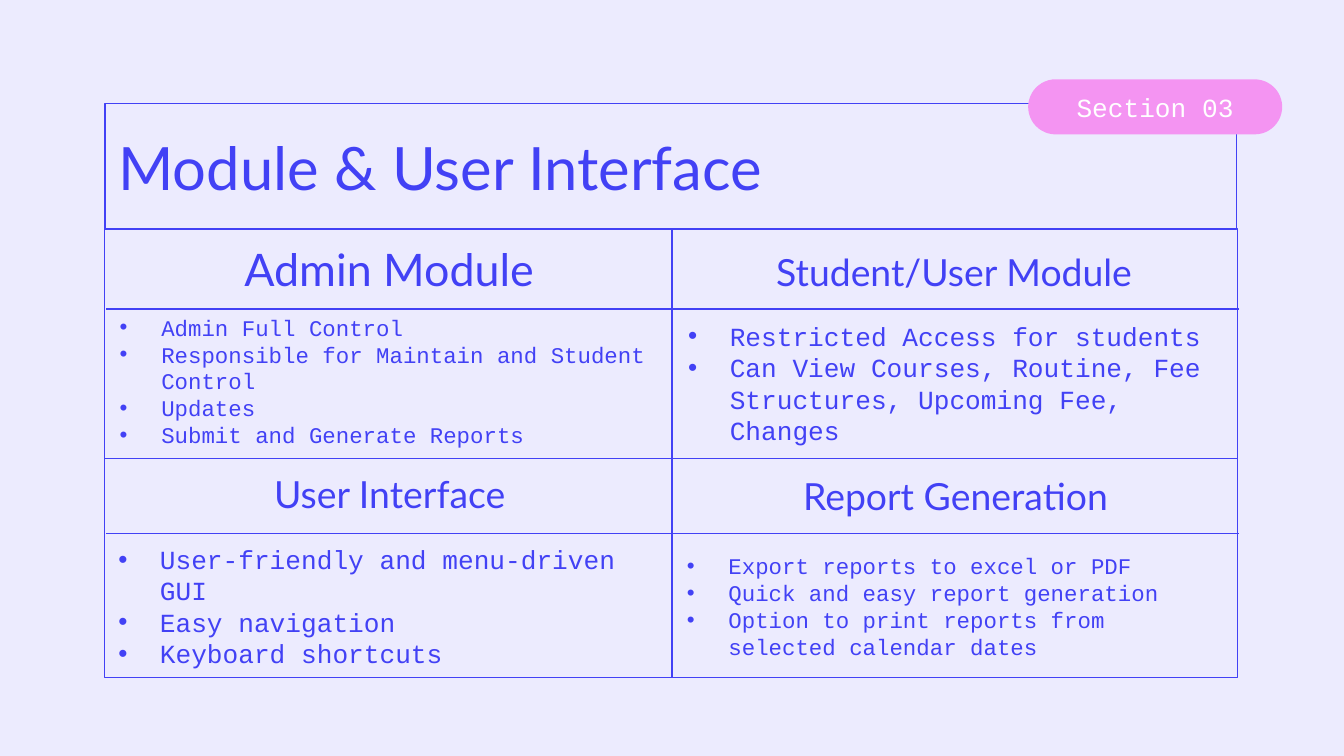
import pptx
import pptx.util
import pptx.dml.color
import pptx.enum.shapes
import pptx.enum.text
import pptx.oxml
import pptx.oxml.ns

Inches = pptx.util.Inches
Pt = pptx.util.Pt
Align = pptx.enum.text.PP_ALIGN
Kind = pptx.enum.shapes.MSO_SHAPE

BLUE = "4241F5"
PINK = "F494F2"
WHITE = "FFFFFF"
PALE = "ECEBFE"
SANS = "Lato"
MONO = "Courier New"

HEADS = [
    ("Admin Module", 24, (0.79, 1.7, 4.21, 0.6)),
    ("Student/User Module", 20, (5, 1.74, 4.2, 0.56)),
    ("User Interface", 20, (0.8, 3.37, 4.2, 0.6)),
    ("Report Generation", 20, (5.02, 3.4, 4.18, 0.57)),
]
LISTS = [
    (12, (0.79, 2.3, 4.22, 1.07), [
        "Admin Full Control",
        "Responsible for Maintain and Student Control",
        "Updates",
        "Submit and Generate Reports",
    ]),
    (14, (5.02, 2.31, 4.17, 1.08), [
        "Restricted Access for students",
        "Can View Courses, Routine, Fee Structures, Upcoming Fee, Changes",
    ]),
    (14, (0.78, 3.97, 4.24, 1.08), [
        "User-friendly and menu-driven GUI",
        "Easy navigation",
        "Keyboard shortcuts",
    ]),
    (12, (5.01, 3.98, 4.19, 1.06), [
        "Export reports to excel or PDF",
        "Quick and easy report generation",
        "Option to print reports from selected calendar dates",
    ]),
]
LINES = [
    (0.78, 3.41, 9.21, 3.41),
    (5, 1.7, 5, 5.04),
    (0.79, 2.3, 9.22, 2.3),
    (0.79, 3.97, 9.22, 3.97),
]


def tint(color, code):
    color.rgb = pptx.dml.color.RGBColor.from_string(code)


def place(shape, box):
    shape.left, shape.top, shape.width, shape.height = map(Inches, box)


def edge(shape):
    tint(shape.line.color, BLUE)
    shape.line.width = Pt(0.75)


def setup(shape):
    frame = shape.text_frame
    frame.word_wrap = True
    frame.auto_size = pptx.enum.text.MSO_AUTO_SIZE.NONE
    frame.vertical_anchor = pptx.enum.text.MSO_ANCHOR.MIDDLE
    frame.margin_left = frame.margin_right = Inches(0.1)
    frame.margin_top = frame.margin_bottom = Inches(0.1)
    return frame


def write(para, text, size, face, code=BLUE, align=Align.LEFT):
    para.alignment = align
    para.line_spacing = 1.0
    para.space_before = Pt(0)
    run = para.add_run()
    run.text = text
    run.font.name = face
    run.font.size = Pt(size)
    run.font.bold = False
    tint(run.font.color, code)


def bullet(para):
    props = para._p.get_or_add_pPr()
    props.set("marL", str(Inches(0.31)))
    props.set("indent", str(-Inches(0.31)))
    space = pptx.oxml.ns.nsdecls("a")
    for part in (
        f'<a:buClr {space}><a:srgbClr val="{BLUE}"/></a:buClr>',
        f'<a:buFont {space} typeface="Arial"/>',
        f'<a:buChar {space} char="•"/>',
    ):
        props.append(pptx.oxml.parse_xml(part))


def add_frame(slide):
    shape = slide.shapes.add_shape(
        Kind.RECTANGLE, *map(Inches, (0.78, 1.7, 8.43, 3.34)))
    shape.shadow.inherit = False
    shape.fill.background()
    edge(shape)


def add_title(slide):
    shape = slide.shapes.title
    place(shape, (0.78, 0.77, 8.42, 0.94))
    edge(shape)
    write(setup(shape).paragraphs[0], "Module & User Interface", 32, SANS)


def add_badge(slide):
    shape = slide.shapes.add_shape(
        Kind.ROUNDED_RECTANGLE, *map(Inches, (7.65, 0.59, 1.89, 0.41)))
    shape.adjustments[0] = 0.5
    shape.shadow.inherit = False
    shape.fill.solid()
    tint(shape.fill.fore_color, PINK)
    shape.line.fill.background()
    para = setup(shape).paragraphs[0]
    write(para, "Section 03", 14, MONO, WHITE, Align.CENTER)


def add_head(slide, text, size, box):
    shape = slide.shapes.add_textbox(*map(Inches, box))
    para = setup(shape).paragraphs[0]
    write(para, text, size, SANS, align=Align.CENTER)


def fill_list(shape, size, box, items):
    place(shape, box)
    frame = setup(shape)
    for i, item in enumerate(items):
        para = frame.add_paragraph() if i else frame.paragraphs[0]
        write(para, item, size, MONO)
        bullet(para)


def add_line(slide, ends):
    line = slide.shapes.add_connector(
        pptx.enum.shapes.MSO_CONNECTOR.STRAIGHT, *map(Inches, ends))
    edge(line)
    space = pptx.oxml.ns.nsdecls("a")
    line._element.spPr.append(pptx.oxml.parse_xml(f"<a:effectLst {space}/>"))


def main():
    deck = pptx.Presentation()
    deck.slide_width = Inches(10)
    deck.slide_height = Inches(10) * 9 // 16
    slide = deck.slides.add_slide(deck.slide_layouts[4])
    back = slide.background.fill
    back.solid()
    tint(back.fore_color, PALE)

    add_frame(slide)
    add_title(slide)
    add_badge(slide)
    for head in HEADS:
        add_head(slide, *head)
    for i, data in enumerate(LISTS, 1):
        fill_list(slide.placeholders[i], *data)
    for ends in LINES:
        add_line(slide, ends)
    deck.save("out.pptx")


if __name__ == "__main__":
    main()
